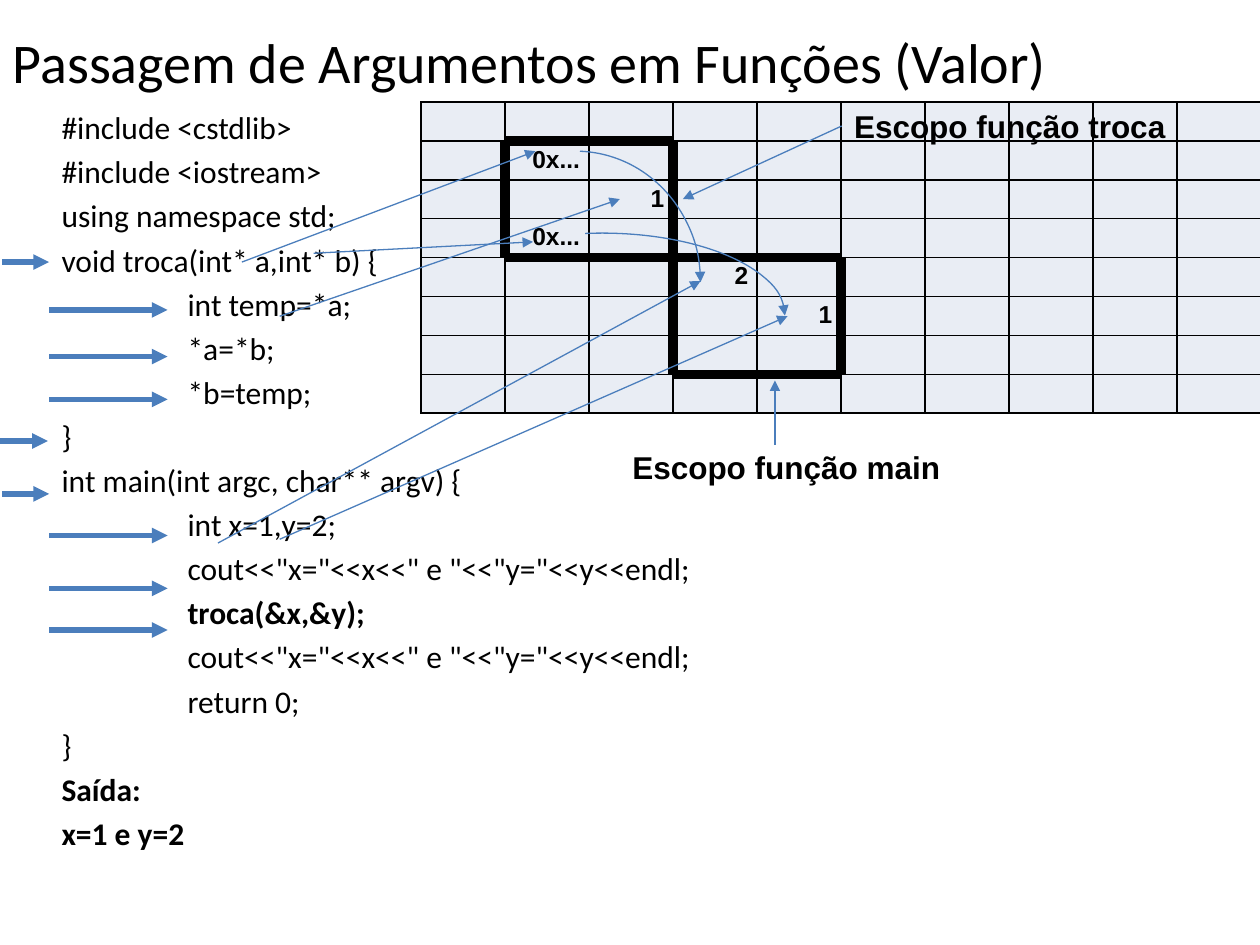
from lxml import etree
from pptx import Presentation
from pptx import util as u
from pptx.dml.color import RGBColor
from pptx.enum import shapes, text
from pptx.oxml.ns import qn

COLORS = {"text": "000000", "arrow": "4B7EBC", "cell": "E9EDF4"}

TITLE = "Passagem de Argumentos em Funções (Valor)"
CODE = [
    "#include <cstdlib>",
    "#include <iostream>",
    "using namespace std;",
    "void troca(int* a,int* b) {",
    "\tint temp=*a;",
    "\t*a=*b;",
    "\t*b=temp;",
    "}",
    "int main(int argc, char** argv) {",
    "\tint x=1,y=2;",
    '\tcout<<"x="<<x<<" e "<<"y="<<y<<endl;',
    "\ttroca(&x,&y);",
    '\tcout<<"x="<<x<<" e "<<"y="<<y<<endl;',
    "\treturn 0;",
    "}",
    "Saída:",
    "x=1 e y=2",
]
BOLD_LINES = {"\ttroca(&x,&y);", "Saída:", "x=1 e y=2"}
CODE_INDENT = 1

# Memory grid: (row, column) -> stored value
ROWS, COLUMNS = 8, 10
MEMORY = {(1, 1): "0x...", (2, 2): "1", (3, 1): "0x...", (4, 3): "2", (5, 4): "1"}
# Scope -> rows and columns it covers
SCOPES = {"troca": (range(1, 4), range(1, 3)), "main": (range(4, 7), range(3, 5))}
SCOPE_LABELS = [
    ("Escopo função main", 4.92, 3.51, 2.67),
    ("Escopo função troca", 6.68, 0.8, 2.7),
]

# Execution steps: (left, right, heights)
STEP_ARROWS = [
    (0.39, 1.33, [2.46, 2.83, 3.17, 4.25, 4.67, 5]),
    (0.02, 0.39, [2.08, 3.92]),
    (0, 0.38, [3.5]),
]
# Thin arrows: (from x, from y, to x, to y)
POINTERS = [
    (1.73, 4.31, 5.56, 2.23),
    (2.22, 4.28, 6.25, 2.51),
    (6.15, 3.53, 6.15, 3.02),
    (6.68, 1, 5.42, 1.58),
    (1.92, 2.08, 4.25, 1.2),
    (2.49, 2.01, 4.23, 1.92),
    (2.22, 2.51, 4.92, 1.58),
]
# Curved arrows: (left, top, width, height, start adjustment)
ARCS = [(3.58, 1.2, 1.98, 2.08, 163.11), (3.33, 1.85, 2.9, 1.31, 154.94)]


def rgb(name):
    return RGBColor.from_string(COLORS[name])


def format_text(para, font, size, bold=False):
    for span in para.runs:
        span.font.name, span.font.size, span.font.bold = font, u.Pt(size), bold
        span.font.color.rgb = rgb("text")


def style_arrow(shape, width):
    """Colour the line and put a triangle at its end."""
    shape.line.color.rgb = rgb("arrow")
    shape.line.width = u.Pt(width)
    line = shape._element.spPr.find(qn("a:ln"))
    etree.SubElement(line, qn("a:tailEnd"), type="triangle")


def add_arrow(slide, points, width):
    arrow = slide.shapes.add_connector(
        shapes.MSO_CONNECTOR.STRAIGHT, *map(u.Inches, points))
    style_arrow(arrow, width)
    etree.SubElement(arrow._element.spPr, qn("a:effectLst"))


def add_arc(slide, left, top, width, height, start):
    arc = slide.shapes.add_shape(
        shapes.MSO_SHAPE.ARC, *map(u.Inches, (left, top, width, height)))
    arc.adjustments[0], arc.adjustments[1] = start, 0
    arc.fill.background()
    style_arrow(arc, 0.75)
    arc.shadow.inherit = False


def scope_at(row, column):
    for name, (rows, columns) in SCOPES.items():
        if row in rows and column in columns:
            return name
    return None


def set_borders(cell, row, column):
    """Draw a thick edge wherever the neighbour lies in another scope."""
    neighbours = {"lnL": (row, column - 1), "lnR": (row, column + 1),
                  "lnT": (row - 1, column), "lnB": (row + 1, column)}
    properties = cell._tc.get_or_add_tcPr()
    for index, (tag, neighbour) in enumerate(neighbours.items()):
        thick = scope_at(row, column) != scope_at(*neighbour)
        border = etree.Element(qn("a:" + tag), w=str(u.Pt(6 if thick else 1)))
        fill = etree.SubElement(border, qn("a:solidFill"))
        etree.SubElement(fill, qn("a:srgbClr"), val=COLORS["text"])
        properties.insert(index, border)


def add_memory(slide):
    table = slide.shapes.add_table(
        ROWS, COLUMNS, u.Inches(3.34), u.Inches(0.81),
        u.Inches(6.67), u.Inches(2.47)).table
    for row in range(ROWS):
        for column in range(COLUMNS):
            cell = table.cell(row, column)
            cell.margin_left = cell.margin_right = u.Inches(0.07)
            cell.margin_top, cell.margin_bottom = u.Inches(0.04), u.Inches(0.02)
            cell.fill.solid()
            cell.fill.fore_color.rgb = rgb("cell")
            set_borders(cell, row, column)
            para = cell.text_frame.paragraphs[0]
            para.text = MEMORY.get((row, column), "")
            para.alignment = text.PP_ALIGN.RIGHT
            format_text(para, "Arial", 14, True)
            if not para.runs:  # a small empty line keeps the row height
                etree.SubElement(para._p, qn("a:endParaRPr"), sz="1200")


def add_title(slide):
    title = slide.shapes.title
    title.left, title.top = u.Inches(0), u.Inches(0.17)
    title.width, title.height = u.Inches(8.49), u.Inches(0.64)
    frame = title.text_frame
    frame.text = TITLE
    frame.word_wrap = False
    frame.auto_size = text.MSO_AUTO_SIZE.NONE
    frame.vertical_anchor = text.MSO_ANCHOR.TOP
    frame.paragraphs[0].alignment = text.PP_ALIGN.LEFT
    format_text(frame.paragraphs[0], "Calibri", 32)


def add_tab_stop(para, position):
    stops = etree.SubElement(para._p.get_or_add_pPr(), qn("a:tabLst"))
    etree.SubElement(stops, qn("a:tab"), pos=str(u.Inches(position)), algn="l")


def add_code(slide):
    box = slide.shapes.add_textbox(
        *map(u.Inches, (0.39, 0.81, 9.22, 6.69)))
    box.text_frame.word_wrap = True
    box.text_frame.text = "\n".join(CODE)
    for para, line in zip(box.text_frame.paragraphs, CODE):
        para.space_before = u.Pt(3.6)
        add_tab_stop(para, CODE_INDENT)
        format_text(para, "Calibri", 18, line in BOLD_LINES)


def add_scope_label(slide, label, left, top, width):
    box = slide.shapes.add_textbox(*map(u.Inches, (left, top, width, 0.4)))
    box.text_frame.text = label
    box.text_frame.word_wrap = False
    format_text(box.text_frame.paragraphs[0], "Arial", 18, True)


def main():
    deck = Presentation()
    deck.slide_width, deck.slide_height = u.Inches(10), u.Inches(7.5)
    slide = deck.slides.add_slide(deck.slide_layouts.get_by_name("Title Only"))
    add_title(slide)
    add_code(slide)
    add_memory(slide)
    for label in SCOPE_LABELS:
        add_scope_label(slide, *label)
    for left, right, heights in STEP_ARROWS:
        for y in heights:
            add_arrow(slide, (left, y, right, y), 3)
    for points in POINTERS:
        add_arrow(slide, points, 0.75)
    for arc in ARCS:
        add_arc(slide, *arc)
    deck.save("out.pptx")


if __name__ == "__main__":
    main()
